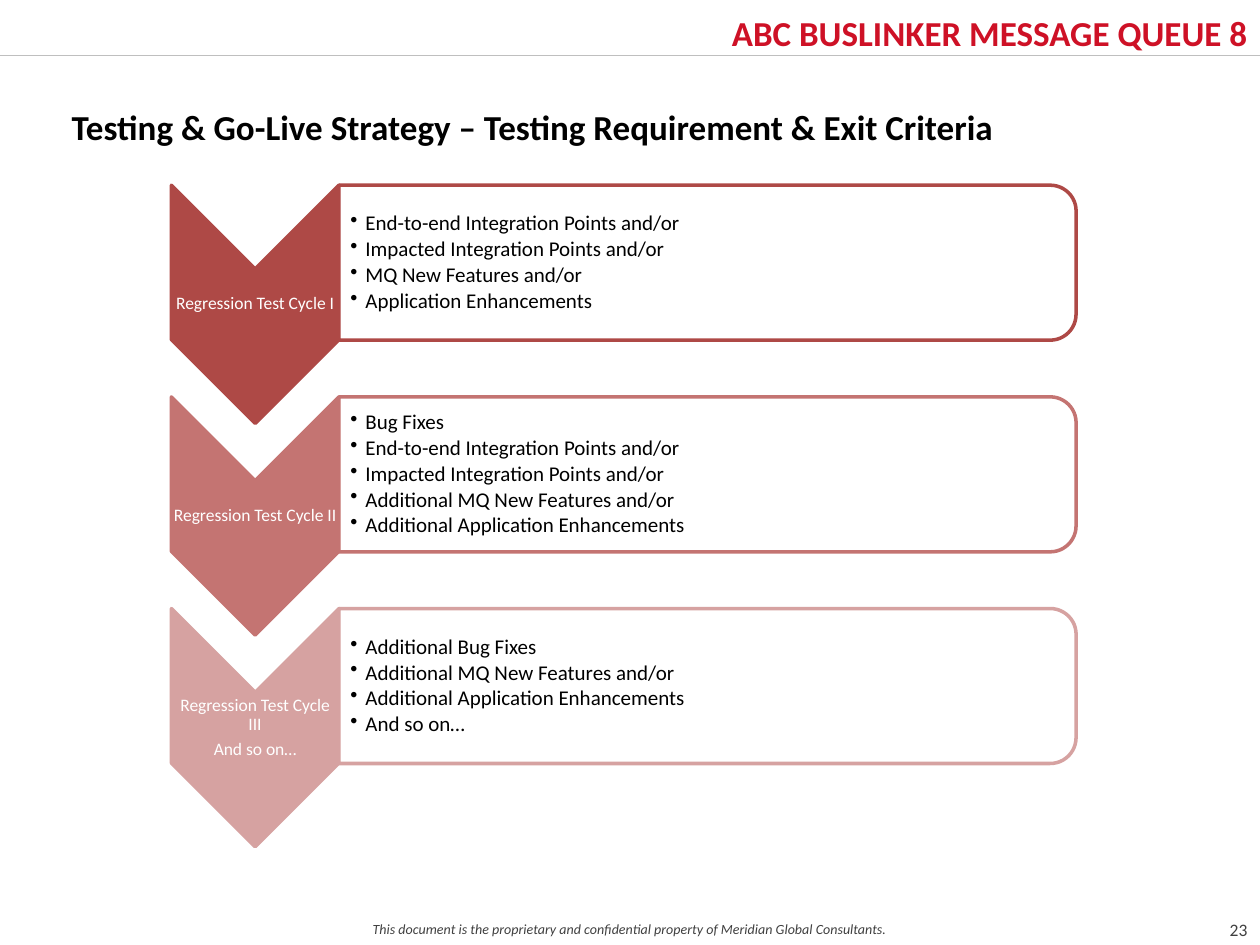
"""Build the testing and go-live strategy slide with three regression cycles."""
import dataclasses
import pptx
import pptx.dml.color
import pptx.enum.shapes
import pptx.enum.text
import pptx.oxml
import pptx.oxml.ns
import pptx.util

Inches = pptx.util.Inches
Pt = pptx.util.Pt
Kind = pptx.enum.shapes.MSO_SHAPE
Align = pptx.enum.text.PP_ALIGN
Anchor = pptx.enum.text.MSO_ANCHOR


@dataclasses.dataclass
class Theme:
    font: str = "Calibri"
    brand: str = "CE1126"
    ink: str = "000000"
    gray: str = "404040"
    rule: str = "BFBFBF"
    white: str = "FFFFFF"
    cycles: tuple = ("AE4946", "C47472", "D6A2A1")
    head: int = 20
    body: int = 12
    label: int = 10
    note: int = 8


class Deck:
    def __init__(self, theme):
        self.theme = theme
        self.file = pptx.Presentation()
        self.file.slide_width = Inches(10)
        self.file.slide_height = Inches(7.5)
        self.slide = self.file.slides.add_slide(self.file.slide_layouts[6])

    def tint(self, code):
        return pptx.dml.color.RGBColor.from_string(code)

    def tag(self, host, name, **attrs):
        node = pptx.oxml.parse_xml(f"<a:{name} {pptx.oxml.ns.nsdecls('a')}/>")
        for key, value in attrs.items():
            node.set(key, value)
        host.append(node)

    def text(self, box, lines, size, color, align=Align.LEFT, inset=(0.1, 0.05, 0.1, 0.05),
             anchor=Anchor.TOP, bold=False, italic=False, bullet=False, gap=0, pitch=None):
        frame = self.slide.shapes.add_textbox(*map(Inches, box)).text_frame
        frame.word_wrap = True
        frame.vertical_anchor = anchor
        (frame.margin_left, frame.margin_top,
         frame.margin_right, frame.margin_bottom) = map(Inches, inset)
        for spot, line in enumerate(lines):
            para = frame.paragraphs[0] if spot == 0 else frame.add_paragraph()
            para.alignment = align
            para.space_after = Pt(gap)
            para.line_spacing = pitch
            if bullet:
                props = para._p.get_or_add_pPr()
                props.set("marL", str(Inches(0.12)))
                props.set("indent", str(-Inches(0.12)))
                self.tag(props, "buChar", char="•")
            run = para.add_run()
            run.text = line
            run.font.name = self.theme.font
            run.font.size = Pt(size)
            run.font.bold = bold
            run.font.italic = italic
            run.font.color.rgb = self.tint(color)

    def shape(self, kind, box, fill, edge, alpha=None):
        left, top, wide, high = box
        item = self.slide.shapes.add_shape(
            kind, Inches(left + (wide - high) / 2), Inches(top + (high - wide) / 2),
            Inches(high), Inches(wide))
        item.rotation = 90
        item.shadow.inherit = False
        item.fill.solid()
        item.fill.fore_color.rgb = self.tint(fill)
        item.line.color.rgb = self.tint(edge)
        item.line.width = Pt(2)
        if alpha:
            color = item._element.spPr.find(".//" + pptx.oxml.ns.qn("a:srgbClr"))
            self.tag(color, "alpha", val=str(alpha * 1000))

    def line(self, start, end, color, width):
        item = self.slide.shapes.add_connector(
            pptx.enum.shapes.MSO_CONNECTOR.STRAIGHT, *map(Inches, start + end))
        item.line.color.rgb = self.tint(color)
        item.line.width = Pt(width)
        self.tag(item._element.spPr, "effectLst")

    def cycle(self, top, color, label, points):
        theme = self.theme
        thin = 0.01
        self.shape(Kind.CHEVRON, (1.36, top, 1.33, 1.89), color, color)
        self.text((1.36, top + 0.66, 1.33, 0.57), label, theme.label, theme.white,
                  Align.CENTER, (thin,) * 4, Anchor.MIDDLE, gap=3.5, pitch=0.9)
        self.shape(Kind.ROUND_2_SAME_RECTANGLE, (2.69, top, 5.85, 1.23),
                   theme.white, color, alpha=90)
        self.text((2.69, top + 0.06, 5.79, 1.11), points, theme.body, theme.ink,
                  Align.LEFT, (0.09, thin, thin, thin), Anchor.MIDDLE,
                  bullet=True, gap=1.8, pitch=0.9)


CYCLES = (
    (["Regression Test Cycle I"],
     ["End-to-end Integration Points and/or", "Impacted Integration Points and/or",
      "MQ New Features and/or", "Application Enhancements"]),
    (["Regression Test Cycle II"],
     ["Bug Fixes", "End-to-end Integration Points and/or",
      "Impacted Integration Points and/or", "Additional MQ New Features and/or",
      "Additional Application Enhancements"]),
    (["Regression Test Cycle III", "And so on…"],
     ["Additional Bug Fixes", "Additional MQ New Features and/or",
      "Additional Application Enhancements", "And so on…"]),
)


def main():
    theme = Theme()
    deck = Deck(theme)
    deck.text((0, 7.26, 10, 0.24),
              ["This document is the proprietary and confidential property of "
               "Meridian Global Consultants."],
              theme.note, theme.gray, Align.CENTER, italic=True)
    deck.text((9.6, 7.16, 0.46, 0.43), ["23"], theme.label, theme.gray,
              Align.CENTER, anchor=Anchor.MIDDLE)
    deck.line((0, 0.44), (10, 0.44), theme.rule, 0.5)
    deck.text((4.01, 0.02, 5.99, 0.42), ["ABC BUSLINKER MESSAGE QUEUE 8"],
              theme.head, theme.brand, Align.RIGHT, (0, 0.07, 0.1, 0.07), bold=True)
    deck.text((0.47, 0.79, 9.02, 0.86),
              ["Testing & Go-Live Strategy – Testing Requirement & Exit Criteria"],
              theme.head, theme.ink, Align.JUSTIFY, bold=True, gap=6)
    for spot, (label, points) in enumerate(CYCLES):
        deck.cycle(1.47 + 1.68 * spot, theme.cycles[spot], label, points)
    deck.file.save("out.pptx")


if __name__ == "__main__":
    main()
